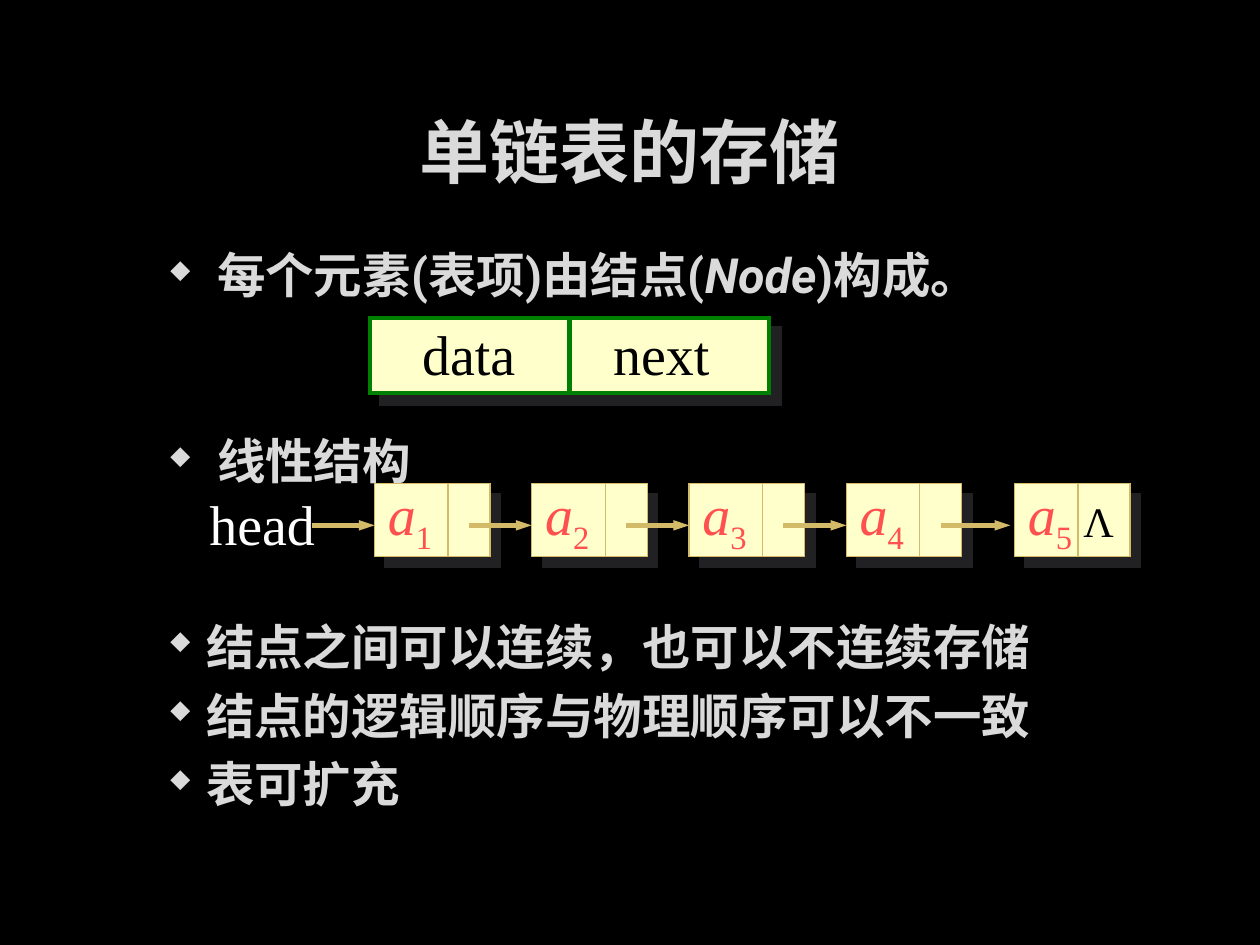
from dataclasses import dataclass

from lxml.etree import SubElement
from pptx import Presentation
from pptx.dml.color import RGBColor as RGB
from pptx.enum.shapes import MSO_CONNECTOR as CONNECTOR, MSO_SHAPE as SHAPE
from pptx.enum.text import MSO_ANCHOR as ANCHOR, MSO_AUTO_SIZE as AUTO, PP_ALIGN as ALIGN
from pptx.oxml.ns import qn
from pptx.util import Cm, Pt


@dataclass(frozen=True)
class Theme:
    background: str = "000000"
    text: str = "DADADA"
    label: str = "FFFFFF"
    ink: str = "000000"
    element: str = "FF5050"
    cell: str = "FFFFCC"
    frame: str = "008000"
    link: str = "D3BA68"
    shadow: str = "212123"
    heading_font: str = "Noto Sans CJK SC"
    body_font: str = "Roboto"
    diagram_font: str = "Times New Roman"
    bullet_font: str = "Wingdings"
    title_size: float = 40
    body_size: float = 27.7
    diagram_size: float = 32
    null_size: float = 24


def set_all(target, values):
    for name, value in values.items():
        setattr(target, name, value)


class SlideBuilder:
    def __init__(self, deck, theme):
        self.theme = theme
        self.slide = deck.slides.add_slide(deck.slide_layouts[1])
        self.canvas = self.slide.shapes
        fill = self.slide.background.fill
        fill.solid()
        fill.fore_color.rgb = RGB.from_string(theme.background)

    def start_group(self):
        """Send the shapes that follow into a new group."""
        self.canvas = self.slide.shapes.add_group_shape().shapes

    def place(self, shape, left, top, width, height):
        set_all(shape, dict(left=Cm(left), top=Cm(top), width=Cm(width), height=Cm(height)))

    def span(self, para, text, color, size, font, **format_values):
        run = para.add_run()
        run.text = text
        set_all(run.font, dict(name=font, size=Pt(size), **format_values))
        run.font.color.rgb = RGB.from_string(color)
        return run

    def heading_span(self, para, text, size, font, **format_values):
        run = self.span(para, text, self.theme.text, size, font, bold=True, **format_values)
        SubElement(run.font._element, qn("a:ea"), typeface=self.theme.heading_font)

    def title(self, text, *place):
        box = self.slide.shapes.title
        self.place(box, *place)
        set_all(box.text_frame, dict(vertical_anchor=ANCHOR.MIDDLE, auto_size=AUTO.NONE))
        para = box.text_frame.paragraphs[0]
        para.alignment = ALIGN.CENTER
        self.heading_span(para, text, self.theme.title_size, self.theme.heading_font)

    def bullets(self, items, *place):
        """Fill the body with (spans, space after) items; a span is (text, italic)."""
        box = self.slide.placeholders[1]
        self.place(box, *place)
        frame = box.text_frame
        set_all(frame, dict(vertical_anchor=ANCHOR.TOP, auto_size=AUTO.NONE))
        for index, (spans, space_after) in enumerate(items):
            para = frame.add_paragraph() if index else frame.paragraphs[0]
            set_all(para, dict(level=1, line_spacing=1.0, space_before=Pt(0),
                               space_after=Pt(space_after)))
            properties = para._p.get_or_add_pPr()
            properties.set("marL", str(Cm(2)))
            properties.set("indent", str(-Cm(0.76)))
            SubElement(properties, qn("a:buSzPct"), val="50000")
            # In this symbol font the letter u is a solid diamond.
            SubElement(properties, qn("a:buFont"), typeface=self.theme.bullet_font, charset="2")
            SubElement(properties, qn("a:buChar"), char="u")
            for text, italic in spans:
                self.heading_span(para, text, self.theme.body_size, self.theme.body_font,
                                  italic=italic)

    def cell(self, left, top, width, height, line_color, line_width):
        """Draw a node rectangle with a hard shadow to the lower right."""
        shape = self.canvas.add_shape(SHAPE.RECTANGLE, Cm(left), Cm(top), Cm(width), Cm(height))
        shape.fill.solid()
        shape.fill.fore_color.rgb = RGB.from_string(self.theme.cell)
        shape.line.color.rgb = RGB.from_string(line_color)
        shape.line.width = Pt(line_width)
        SubElement(shape.line._get_or_add_ln(), qn("a:miter"), lim="800000")
        shape.shadow.inherit = False
        effects = shape._element.spPr.find(qn("a:effectLst"))
        shadow = SubElement(effects, qn("a:outerShdw"), dist=str(Pt(8.5)), dir="2700000",
                            algn="ctr", rotWithShape="0")
        SubElement(shadow, qn("a:srgbClr"), val=self.theme.shadow)

    def line(self, start, end, color, width, arrow=False):
        line = self.canvas.add_connector(CONNECTOR.STRAIGHT, *map(Cm, start + end))
        line.line.color.rgb = RGB.from_string(color)
        line.line.width = Pt(width)
        if arrow:
            SubElement(line.line._get_or_add_ln(), qn("a:tailEnd"),
                       type="triangle", w="sm", len="med")
        SubElement(line._element.spPr, qn("a:effectLst"))

    def text(self, spans, color, size, *place, tab=None):
        """Write (text, format values) spans on one line, with an optional tab stop."""
        box = self.canvas.add_textbox(*map(Cm, place))
        set_all(box.text_frame, dict(word_wrap=tab is not None, auto_size=AUTO.SHAPE_TO_FIT_TEXT))
        para = box.text_frame.paragraphs[0]
        if tab is not None:
            tabs = SubElement(para._p.get_or_add_pPr(), qn("a:tabLst"))
            SubElement(tabs, qn("a:tab"), pos=str(Cm(tab)), algn="l")
        for text, values in spans:
            run = self.span(para, text, color, size, self.theme.diagram_font,
                            italic=values.get("italic", False))
            if "baseline" in values:
                run.font._element.set("baseline", str(values["baseline"]))


def draw_node_layout(page):
    theme = page.theme
    left, top, width, height = 7.46, 6.41, 8.05, 1.52
    middle = left + width / 2
    page.start_group()
    page.cell(left, top, width, height, theme.frame, 2.25)
    page.text([("data\tnext", {})], theme.ink, theme.diagram_size, 8.26, 6.31, 6.76, 1.63, tab=3.85)
    page.line((middle, top), (middle, top + height), theme.frame, 3)


def draw_linked_list(page):
    theme = page.theme
    top, width, height, arrow_y = 9.75, 2.33, 1.47, 10.59
    first, pitch, count = 7.55, 3.17, 4
    # (left edge, divider offset, arrow start, arrow end)
    nodes = [(left, 1.48, left - 1.27, left)
             for left in (first + pitch * index for index in range(count))]
    nodes.append((20.45, 1.28, 18.97, 20.37))
    page.start_group()
    for left, divider, arrow_start, arrow_end in nodes:
        page.cell(left, top, width, height, theme.link, 0.75)
        page.line((left + divider, top), (left + divider, top + height), theme.link, 0.75)
        page.line((arrow_start, arrow_y), (arrow_end, arrow_y), theme.link, 3, arrow=True)
    for number, (left, *_) in enumerate(nodes, 1):
        page.text([("a", dict(italic=True)), (str(number), dict(baseline=-25000))],
                  theme.element, theme.diagram_size, left + 0.02, 9.54, 1.45, 1.6)
    page.text([("Λ", {})], theme.ink, theme.null_size, 21.59, 9.86, 1.12, 1.3)
    page.text([("head", {})], theme.label, theme.diagram_size, 3.97, top, 2.84, 1.63)


def main():
    deck = Presentation()
    set_all(deck, dict(slide_width=Cm(25.4), slide_height=Cm(19.05)))
    page = SlideBuilder(deck, Theme())
    page.title("单链表的存储", 1.91, 1.68, 21.56, 2.69)
    diagram_gap, list_gap = 73, 6
    page.bullets([
        ([(" 每个元素(表项)由结点(", False), ("Node", True), (")构成。", False)], diagram_gap),
        ([(" 线性结构", False)], diagram_gap),
        ([("结点之间可以连续，也可以不连续存储", False)], list_gap),
        ([("结点的逻辑顺序与物理顺序可以不一致", False)], list_gap),
        ([("表可扩充", False)], list_gap),
    ], 1.9, 4.82, 21.56, 11.28)
    draw_node_layout(page)
    draw_linked_list(page)
    deck.save("out.pptx")


if __name__ == "__main__":
    main()
